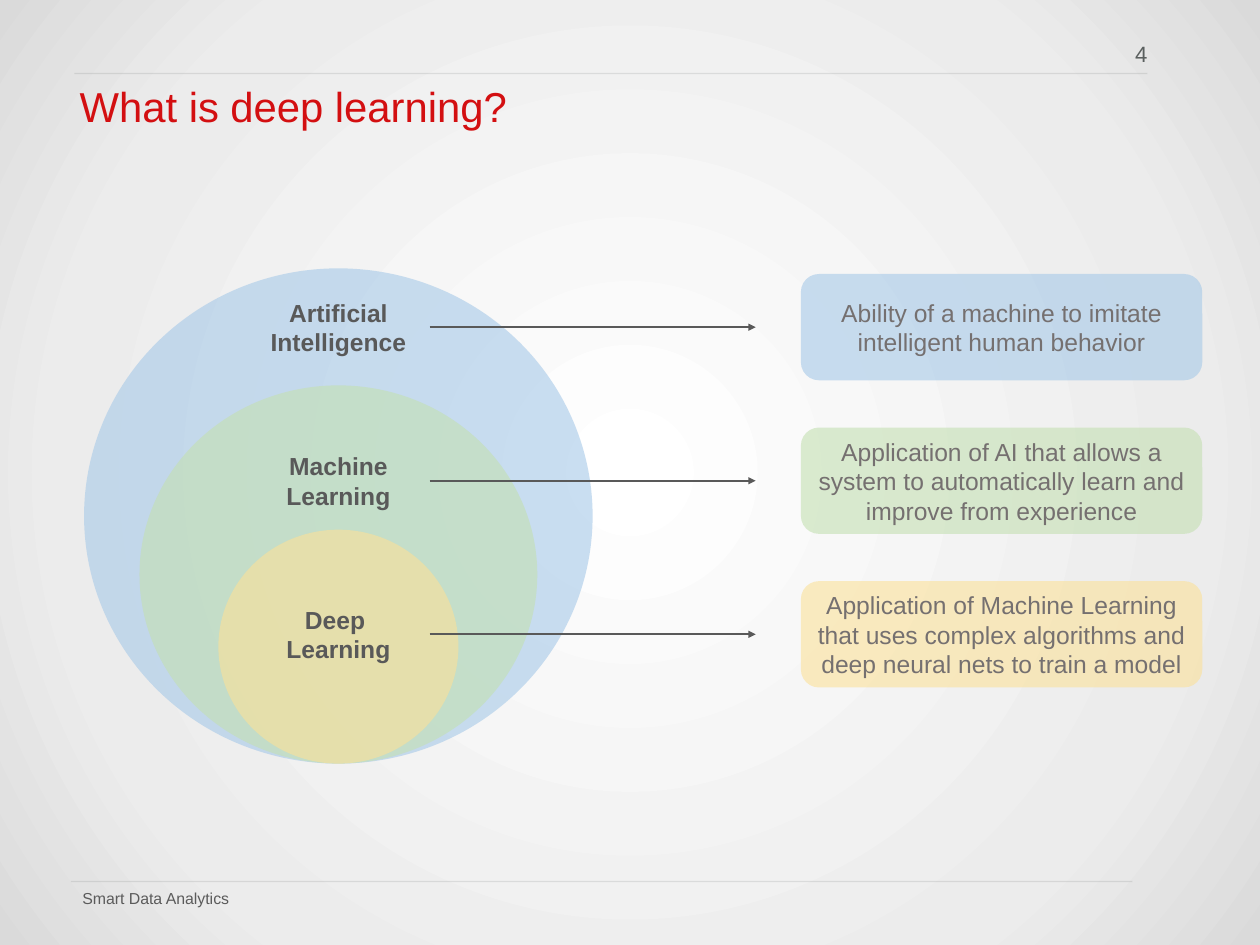
"""Build a slide that nests deep learning inside machine learning and AI."""
import dataclasses

import lxml.etree
import pptx
import pptx.dml.color
import pptx.enum.shapes
import pptx.enum.text
import pptx.oxml.ns
import pptx.util

Pt = pptx.util.Pt
qn = pptx.oxml.ns.qn
Align = pptx.enum.text.PP_ALIGN
Anchor = pptx.enum.text.MSO_ANCHOR
Shape = pptx.enum.shapes.MSO_SHAPE


@dataclasses.dataclass(frozen=True)
class Theme:
    font: str = "Arial"
    title: str = "D30F11"
    rule: str = "5A5F5E"
    foot: str = "5B5B5B"
    dark: str = "595959"
    body: str = "757070"
    blue: str = "A6C9E8"
    green: str = "C4E0B2"
    gold: str = "FBE199"
    glow: tuple = ((0, "FFFFFF"), (73, "ECECEC"), (100, "DADADA"))
    big: float = 34
    text: float = 20
    page: float = 18
    small: float = 12.9


THEME = Theme()
PITCH = 124.8
MID = 275
BASE = 620.6
TIGHT = (2.88, 2.88)
ROOMY = (7.2, 3.6)


def apply(target, **values):
    for name, value in values.items():
        setattr(target, name, value)


def color(code):
    return pptx.dml.color.RGBColor.from_string(code)


def child(parent, tag, **values):
    return lxml.etree.SubElement(parent, qn(tag), values)


def fade(root, share):
    for node in root.iter(qn("a:srgbClr")):
        child(node, "a:alpha", val=str(share * 1000))


def write(shape, words, size, shade, inset=ROOMY, align=Align.LEFT,
          anchor=Anchor.TOP, bold=False, space=1.0):
    frame = shape.text_frame
    side, edge = map(Pt, inset)
    apply(frame, word_wrap=True, vertical_anchor=anchor, margin_left=side,
          margin_right=side, margin_top=edge, margin_bottom=edge)
    line = frame.paragraphs[0]
    apply(line, text=words, alignment=align, line_spacing=space)
    for run in line.runs:
        apply(run.font, name=THEME.font, size=Pt(size), bold=bold)
        run.font.color.rgb = color(shade)


def label(slide, place, words, size, shade, **style):
    box = slide.shapes.add_textbox(*map(Pt, place))
    write(box, words, size, shade, **style)


def block(slide, kind, place, shade):
    shape = slide.shapes.add_shape(kind, *map(Pt, place))
    shape.shadow.inherit = False
    shape.fill.solid()
    shape.fill.fore_color.rgb = color(shade)
    shape.line.fill.background()
    fade(shape.element.spPr, 60)
    return shape


def line(slide, left, right, top, shade, width):
    kind = pptx.enum.shapes.MSO_CONNECTOR.STRAIGHT
    link = slide.shapes.add_connector(kind, *map(Pt, (left, top, right, top)))
    link.line.width = Pt(width)
    link.line.color.rgb = color(shade)
    child(link.element.spPr, "a:effectLst")
    return link.element.spPr


def rule(slide, left, right, top):
    fade(line(slide, left, right, top, THEME.rule, 1), 15)


def arrow(slide, left, right, top):
    root = line(slide, left, right, top, THEME.dark, 1.5)
    child(root.find(qn("a:ln")), "a:tailEnd", type="triangle")


def glow(slide):
    slide.background.fill.gradient()
    grad = next(slide.element.iter(qn("a:gradFill")))
    for node in list(grad):
        grad.remove(node)
    stops = child(grad, "a:gsLst")
    for spot, shade in THEME.glow:
        stop = child(stops, "a:gs", pos=str(spot * 1000))
        child(stop, "a:srgbClr", val=shade)
    ring = child(grad, "a:path", path="circle")
    child(ring, "a:fillToRect", l="50000", t="50000", r="50000", b="50000")


def frame(slide):
    rule(slide, 57.6, 920.2, 716.4)
    label(slide, (64.1, 720.7, 132.5, 22.3), "Smart Data Analytics",
          THEME.small, THEME.foot, inset=TIGHT, space=0.9)
    rule(slide, 60.5, 932.4, 59.8)
    label(slide, (905.8, 32.4, 29.5, 27.4), "4", THEME.page, THEME.rule,
          inset=TIGHT, align=Align.RIGHT, space=0.9)
    label(slide, (61.9, 62.6, 871.9, 60.5), "What is deep learning?",
          THEME.big, THEME.title, inset=TIGHT)


def main():
    deck = pptx.Presentation()
    apply(deck, slide_width=Pt(1024), slide_height=Pt(768))
    slide = deck.slides.add_slide(deck.slide_layouts[6])
    glow(slide)
    frame(slide)
    fields = [
        (THEME.blue, 413.3, 402.5, "Artificial Intelligence",
         "Ability of a machine to imitate intelligent human behavior"),
        (THEME.green, 323.3, 307.4, "Machine Learning",
         "Application of AI that allows a system to automatically learn "
         "and improve from experience"),
        (THEME.gold, 195.1, 190.1, "Deep \nLearning",
         "Application of Machine Learning that uses complex algorithms "
         "and deep neural nets to train a model"),
    ]
    for shade, width, height, *_ in fields:
        place = (MID - width / 2, BASE - height, width, height)
        block(slide, Shape.OVAL, place, shade)
    for row, (shade, _, _, name, note) in enumerate(fields):
        drop = row * PITCH
        label(slide, (197.3, 238.2 + drop, 155.5, 55.4), name, THEME.text,
              THEME.dark, align=Align.CENTER, bold=True)
        arrow(slide, 349.2, 614.2, 265.9 + drop)
        card = block(slide, Shape.ROUNDED_RECTANGLE,
                     (650.9, 222.7 + drop, 326.2, 86.4), shade)
        card.adjustments[0] = 0.17
        write(card, note, THEME.text, THEME.body, align=Align.CENTER,
              anchor=Anchor.MIDDLE)
    deck.save("out.pptx")


if __name__ == "__main__":
    main()
